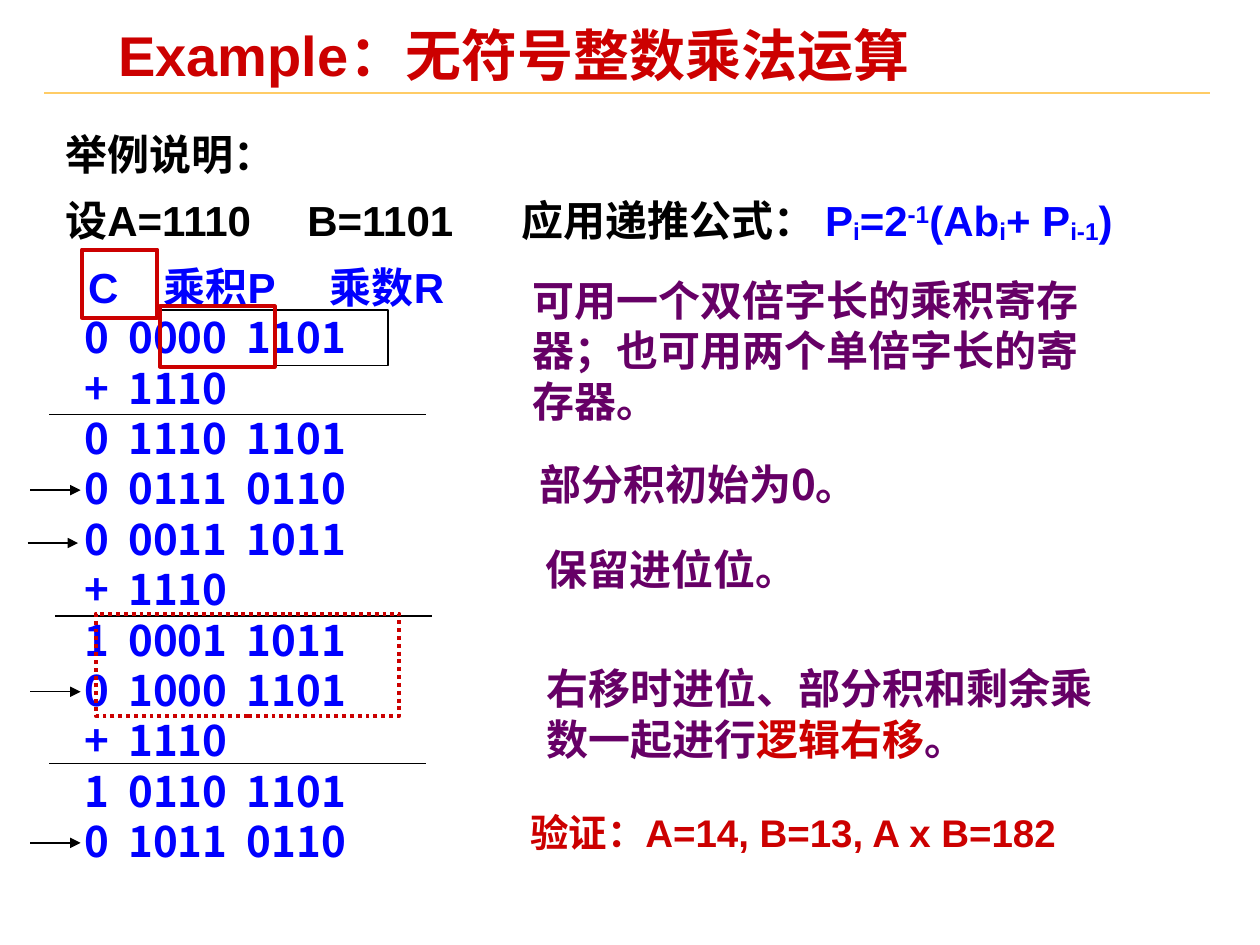
from lxml import etree
from pptx import Presentation
from pptx.dml.color import RGBColor
from pptx.enum.dml import MSO_LINE
from pptx.enum.shapes import MSO_CONNECTOR as CONN, MSO_SHAPE as SHAPE
from pptx.oxml.ns import qn
from pptx.util import Inches, Pt

RED = RGBColor(0xCC, 0x00, 0x00)
BLUE = RGBColor(0x00, 0x00, 0xFF)
PURPLE = RGBColor(0x66, 0x00, 0x66)
GOLD = RGBColor(0xFF, 0xCC, 0x66)
BLACK = RGBColor(0x00, 0x00, 0x00)
ARIAL, NOTO, TIMES = "Arial", "Noto Sans CJK SC", "Times New Roman"

prs = Presentation()
prs.slide_width, prs.slide_height = Inches(10), Inches(7.5)
s = prs.slides.add_slide(prs.slide_layouts[6])

# Grid: ten columns across; row 0 is the first line of the calculation
COL = prs.slide_width // 10
ROW = Inches(0.4)
ROW_0 = Inches(2.49)


def text(p, content, font=ARIAL, size=24, color=BLACK, baseline=0):
    r = p.add_run()
    r.text = content
    r.font.name, r.font.size, r.font.bold = font, Pt(size), True
    r.font.color.rgb = color
    rpr = r._r.get_or_add_rPr()
    etree.SubElement(rpr, qn("a:ea")).set("typeface", NOTO)
    if baseline:
        rpr.set("baseline", str(baseline * 1000))


def line(x1, x2, row, color=BLACK, width=0.75, arrow=False):
    y = int(ROW_0 + row * ROW)
    c = s.shapes.add_connector(CONN.STRAIGHT, int(x1 * COL), y, int(x2 * COL), y)
    c.line.color.rgb, c.line.width = color, Pt(width)
    if arrow:
        etree.SubElement(c.line._get_or_add_ln(), qn("a:tailEnd")).set("type", "triangle")
    etree.SubElement(c._element.spPr, qn("a:effectLst"))


# Text boxes: column, row, width, height
frames = {}
for name, x, row, w, h in [
    ("title", 0.87, -5.7, 6.64, 1.3),
    ("body", 0.42, -3.8, 9.51, 14.9),
    ("register", 4.13, -0.9, 4.53, 3.25),
    ("start", 4.18, 2.75, 3.49, 1.25),
    ("carry", 4.23, 4.43, 2.2, 1.25),
    ("shift", 4.24, 6.8, 4.6, 2.25),
    ("check", 4.11, 9.7, 5.14, 1.18),
]:
    tf = s.shapes.add_textbox(int(x * COL), int(ROW_0 + row * ROW),
                              int(w * COL), int(h * ROW)).text_frame
    tf.word_wrap = name != "carry"
    frames[name] = tf

# Title and rule
tf = frames["title"]
tf.margin_left = tf.margin_right = Inches(0.07)
tf.margin_top = tf.margin_bottom = Inches(0.03)
p = tf.paragraphs[0]
p.line_spacing = 0.87
text(p, "Example：无符号整数乘法运算", size=32, color=RED)
line(0.35, 9.6, -4.38, GOLD, 1)

# Body: each line is tab stops, space before, and runs
GIVEN_TABS = [1.92, 3.62]
HEAD_TABS = [0.18, 0.78, 2.1]
DIGIT_TABS = [0.15, 0.5, 1.44]
formula = [("P", 0), ("i", -10), ("=2", 0), ("-1", 30), ("(Ab", 0),
           ("i", -10), ("+ P", 0), ("i-1", -10), (")", 0)]
steps = ["0 0000 1101", "+ 1110", "0 1110 1101", "0 0111 0110",
         "0 0011 1011", "+ 1110", "1 0001 1011", "0 1000 1101",
         "+ 1110", "1 0110 1101", "0 1011 0110"]
lines = [
    ([], 0, [("举例说明：", {})]),
    (GIVEN_TABS, 9, [("设A=1110\tB=1101\t应用递推公式： ", {})]
     + [(t, dict(color=BLUE, baseline=b)) for t, b in formula]),
    (HEAD_TABS, 9, [("\tC\t乘积P\t乘数R", dict(color=BLUE))]),
]
for step in steps:
    digits = "\t" + step.replace(" ", "\t")
    lines.append((DIGIT_TABS, 0, [(digits, dict(font=NOTO, color=BLUE))]))

tf = frames["body"]
for i, (tabs, before, runs) in enumerate(lines):
    p = tf.add_paragraph() if i else tf.paragraphs[0]
    if tabs:
        tab_list = etree.SubElement(p._p.get_or_add_pPr(), qn("a:tabLst"))
        for pos in tabs:
            tab = etree.SubElement(tab_list, qn("a:tab"))
            tab.set("pos", str(Inches(pos)))
            tab.set("algn", "l")
    if before:
        p.space_before = Pt(before)
    for content, fmt in runs:
        text(p, content, **fmt)

# Sum lines and shift arrows
for x, row in [(0.39, 2), (0.44, 6), (0.39, 8.93)]:
    line(x, x + 2.99, row)
for x, row in [(0.24, 3.5), (0.22, 4.55), (0.24, 7.5), (0.24, 10.5)]:
    line(x, x + 0.4, row, arrow=True)

# Notes on the right
for name, content, fmt in [
    ("register", "可用一个双倍字长的乘积寄存器；也可用两个单倍字长的寄存器。", dict(font=TIMES, color=PURPLE)),
    ("start", "部分积初始为0。", dict(font=NOTO, color=PURPLE)),
    ("carry", "保留进位位。", dict(font=TIMES, color=PURPLE)),
    ("shift", "右移时进位、部分积和剩余乘数一起进行", dict(font=TIMES, color=PURPLE)),
    ("shift", "逻辑右移", dict(font=TIMES, color=RED)),
    ("shift", "。", dict(font=TIMES, color=PURPLE)),
    ("check", "验证：A=14, B=13, A x B=182", dict(size=22, color=RED)),
]:
    text(frames[name].paragraphs[0], content, **fmt)

# Frames: double-length register, partial product, carry, shifted rows
for x, row, w, h, color, width, dash in [
    (1.27, -0.07, 1.81, 1.1, BLACK, 1, None),
    (1.27, -0.15, 0.91, 1.2, RED, 2.25, None),
    (0.65, -1.27, 0.6, 1.35, RED, 2.25, None),
    (0.76, 5.95, 2.41, 2.03, RED, 2.25, MSO_LINE.ROUND_DOT),
]:
    sp = s.shapes.add_shape(SHAPE.RECTANGLE, int(x * COL), int(ROW_0 + row * ROW),
                            int(w * COL), int(h * ROW))
    sp.shadow.inherit = False
    sp.fill.background()
    sp.line.color.rgb, sp.line.width = color, Pt(width)
    if dash:
        sp.line.dash_style = dash

prs.save("out.pptx")
